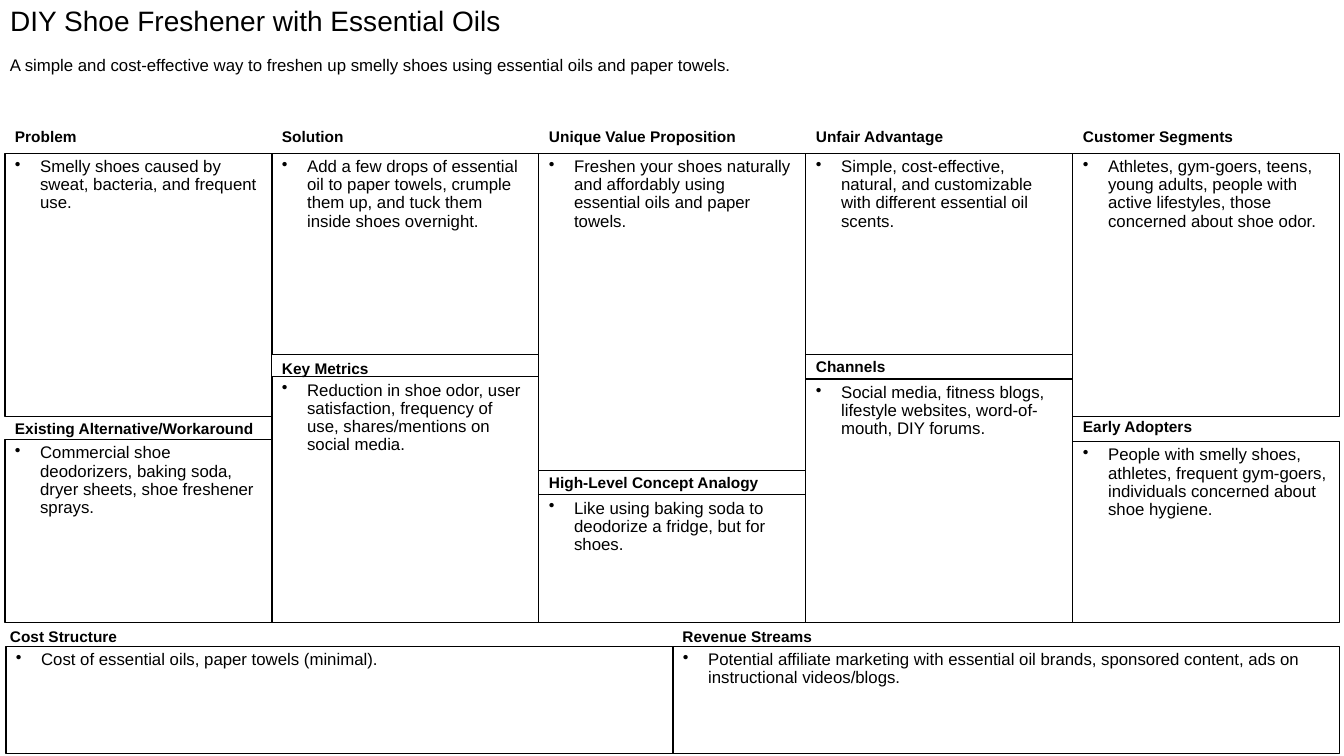
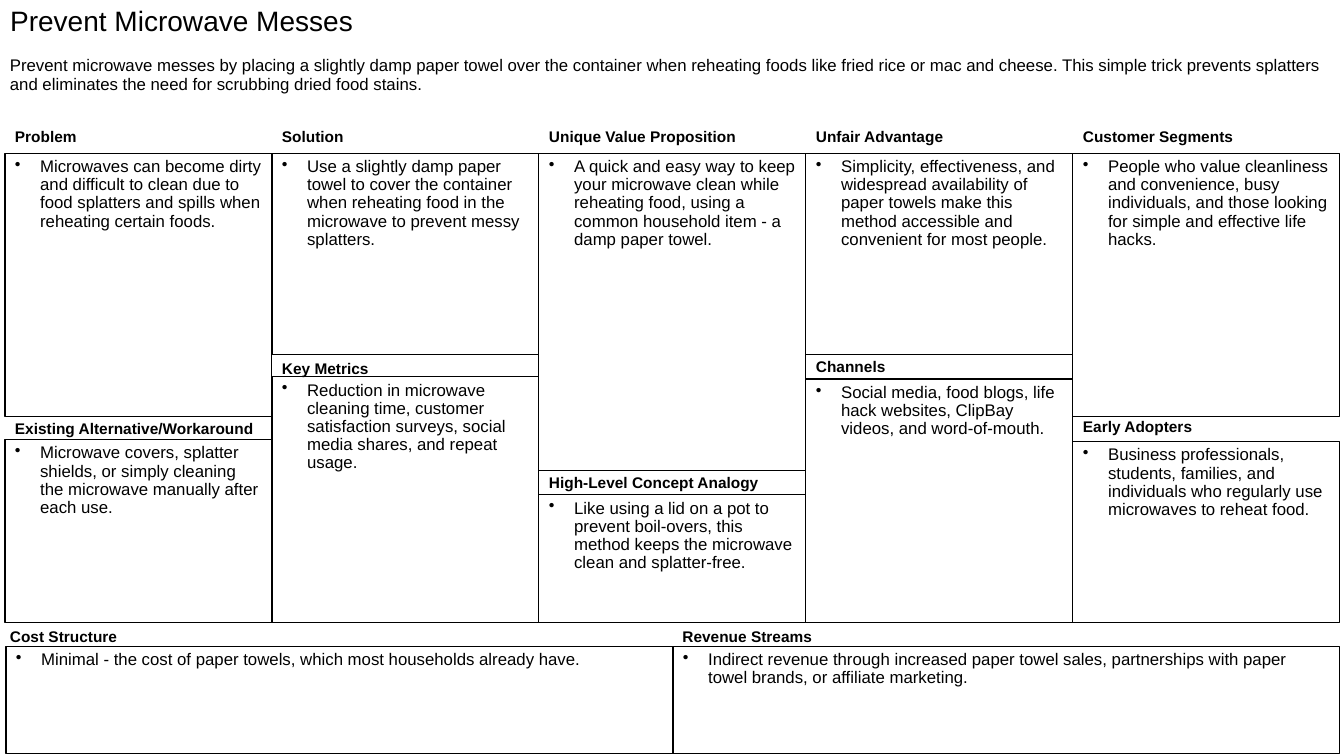
from typing import NamedTuple

from pptx import Presentation
from pptx.dml.color import RGBColor
from pptx.enum import shapes, text
from pptx.oxml.xmlchemy import OxmlElement
from pptx.util import Inches, Pt

COLORS = {"ink": "000000"}
FONT = "Arial"
LABEL_HEIGHT = 0.2
BULLET_INDENT = 0.25


class Box(NamedTuple):
    left: float
    top: float
    width: float
    height: float

    def lengths(self):
        return [Inches(value) for value in self]


class Column(NamedTuple):
    """One canvas column: an upper cell, a label in the gap, a lower cell."""
    upper: str
    lower: str
    upper_end: float
    label_top: float
    lower_start: float


CANVAS = Box(0.05, 1.52, 13.24, 4.66)
COLUMNS = [
    Column("Problem", "Existing Alternative/Workaround", 4.13, 4.15, 4.36),
    Column("Solution", "Key Metrics", 3.52, 3.55, 3.74),
    Column("Unique Value Proposition", "High-Level Concept Analogy",
           4.67, 4.69, 4.91),
    Column("Unfair Advantage", "Channels", 3.52, 3.53, 3.76),
    Column("Customer Segments", "Early Adopters", 4.13, 4.13, 4.38),
]
FINANCE = Box(0.06, 6.41, 13.23, 1.07)
FINANCE_LABELS = {"Cost Structure": 0, "Revenue Streams": 6.67}

CANVASES = [
    {
        "title": "DIY Shoe Freshener with Essential Oils",
        "summary": "A simple and cost-effective way to freshen up smelly shoes using essential oils and paper towels.",
        "Problem": "Smelly shoes caused by sweat, bacteria, and frequent use.",
        "Existing Alternative/Workaround": "Commercial shoe deodorizers, baking soda, dryer sheets, shoe freshener sprays.",
        "Solution": "Add a few drops of essential oil to paper towels, crumple them up, and tuck them inside shoes overnight.",
        "Key Metrics": "Reduction in shoe odor, user satisfaction, frequency of use, shares/mentions on social media.",
        "Unique Value Proposition": "Freshen your shoes naturally and affordably using essential oils and paper towels.",
        "High-Level Concept Analogy": "Like using baking soda to deodorize a fridge, but for shoes.",
        "Unfair Advantage": "Simple, cost-effective, natural, and customizable with different essential oil scents.",
        "Channels": "Social media, fitness blogs, lifestyle websites, word-of-mouth, DIY forums.",
        "Customer Segments": "Athletes, gym-goers, teens, young adults, people with active lifestyles, those concerned about shoe odor.",
        "Early Adopters": "People with smelly shoes, athletes, frequent gym-goers, individuals concerned about shoe hygiene.",
        "Cost Structure": "Cost of essential oils, paper towels (minimal).",
        "Revenue Streams": "Potential affiliate marketing with essential oil brands, sponsored content, ads on instructional videos/blogs.",
    },
    {
        "title": "Prevent Microwave Messes",
        "summary": "Prevent microwave messes by placing a slightly damp paper towel over the container when reheating foods like fried rice or mac and cheese. This simple trick prevents splatters and eliminates the need for scrubbing dried food stains.",
        "Problem": "Microwaves can become dirty and difficult to clean due to food splatters and spills when reheating certain foods.",
        "Existing Alternative/Workaround": "Microwave covers, splatter shields, or simply cleaning the microwave manually after each use.",
        "Solution": "Use a slightly damp paper towel to cover the container when reheating food in the microwave to prevent messy splatters.",
        "Key Metrics": "Reduction in microwave cleaning time, customer satisfaction surveys, social media shares, and repeat usage.",
        "Unique Value Proposition": "A quick and easy way to keep your microwave clean while reheating food, using a common household item - a damp paper towel.",
        "High-Level Concept Analogy": "Like using a lid on a pot to prevent boil-overs, this method keeps the microwave clean and splatter-free.",
        "Unfair Advantage": "Simplicity, effectiveness, and widespread availability of paper towels make this method accessible and convenient for most people.",
        "Channels": "Social media, food blogs, life hack websites, ClipBay videos, and word-of-mouth.",
        "Customer Segments": "People who value cleanliness and convenience, busy individuals, and those looking for simple and effective life hacks.",
        "Early Adopters": "Business professionals, students, families, and individuals who regularly use microwaves to reheat food.",
        "Cost Structure": "Minimal - the cost of paper towels, which most households already have.",
        "Revenue Streams": "Indirect revenue through increased paper towel sales, partnerships with paper towel brands, or affiliate marketing.",
    },
]


def write(shape, wording, size, bold=False, spacing=0.9,
          anchor=text.MSO_ANCHOR.TOP):
    """Fill a shape with one left-aligned paragraph and return it."""
    frame = shape.text_frame
    frame.text = wording
    frame.word_wrap = True
    frame.auto_size = text.MSO_AUTO_SIZE.NONE
    frame.vertical_anchor = anchor
    paragraph = frame.paragraphs[0]
    paragraph.alignment = text.PP_ALIGN.LEFT
    paragraph.line_spacing = spacing
    font = paragraph.runs[0].font
    font.name, font.size, font.bold = FONT, Pt(size), bold
    font.color.rgb = RGBColor.from_string(COLORS["ink"])
    return paragraph


def add_bullet(paragraph):
    properties = paragraph._p.get_or_add_pPr()
    properties.set("marL", str(Inches(BULLET_INDENT)))
    properties.set("indent", str(-Inches(BULLET_INDENT)))
    bullet = OxmlElement("a:buChar")
    bullet.set("char", "•")
    properties.append(bullet)


def add_label(slide, wording, left, top):
    label = slide.shapes.add_textbox(
        *Box(left, top, 2.65, LABEL_HEIGHT).lengths())
    write(label, wording, 11, bold=True, spacing=1.0,
          anchor=text.MSO_ANCHOR.MIDDLE)
    frame = label.text_frame
    frame.margin_left = Inches(0.1)
    frame.margin_top = frame.margin_right = frame.margin_bottom = 0


def add_cell(slide, wording, box):
    cell = slide.shapes.add_shape(shapes.MSO_SHAPE.RECTANGLE, *box.lengths())
    cell.shadow.inherit = False
    cell.fill.background()
    cell.line.color.rgb = RGBColor.from_string(COLORS["ink"])
    cell.line.width = Pt(0.75)
    add_bullet(write(cell, wording, 12))


def add_heading(slide, title, summary, box):
    """Title on top of the box, summary in the rest of it."""
    title_height = 0.5
    heading = slide.shapes.title
    heading.left, heading.top, heading.width, heading.height = box._replace(
        height=title_height).lengths()
    write(heading, title, 20)
    summary_box = Box(box.left, box.top + title_height, box.width,
                      box.height - title_height)
    write(slide.shapes.add_textbox(*summary_box.lengths()), summary, 12)


def add_column(slide, column, content, box):
    add_label(slide, column.upper, box.left, box.top - 0.27)
    add_cell(slide, content[column.upper],
             box._replace(height=column.upper_end - box.top))
    add_label(slide, column.lower, box.left, column.label_top)
    add_cell(slide, content[column.lower],
             box._replace(top=column.lower_start,
                          height=box.top + box.height - column.lower_start))


def add_finance(slide, content, box):
    width = box.width / len(FINANCE_LABELS)
    for index, (name, label_left) in enumerate(FINANCE_LABELS.items()):
        add_label(slide, name, label_left, box.top - LABEL_HEIGHT)
        add_cell(slide, content[name],
                 box._replace(left=box.left + index * width, width=width))


def add_lean_canvas(deck, content):
    slide = deck.slides.add_slide(deck.slide_layouts.get_by_name("Title Only"))
    add_heading(slide, content["title"], content["summary"],
                Box(0, 0.02, 13.33, 1.13))
    width = CANVAS.width / len(COLUMNS)
    for index, column in enumerate(COLUMNS):
        add_column(slide, column, content,
                   CANVAS._replace(left=CANVAS.left + index * width,
                                   width=width))
    add_finance(slide, content, FINANCE)


def main():
    deck = Presentation()
    deck.slide_width, deck.slide_height = Inches(13.33), Inches(7.5)
    for content in CANVASES:
        add_lean_canvas(deck, content)
    deck.save("out.pptx")


if __name__ == "__main__":
    main()
